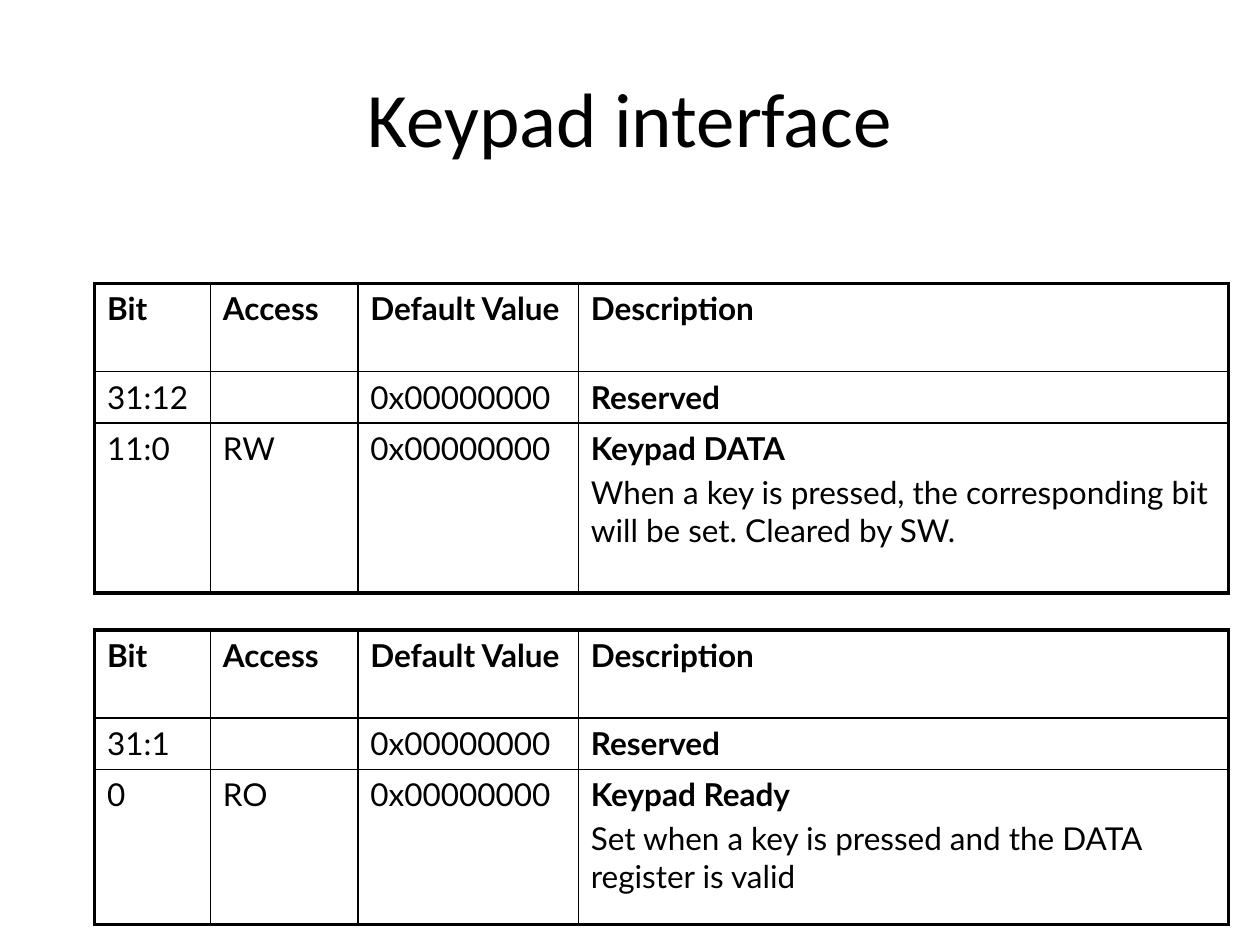
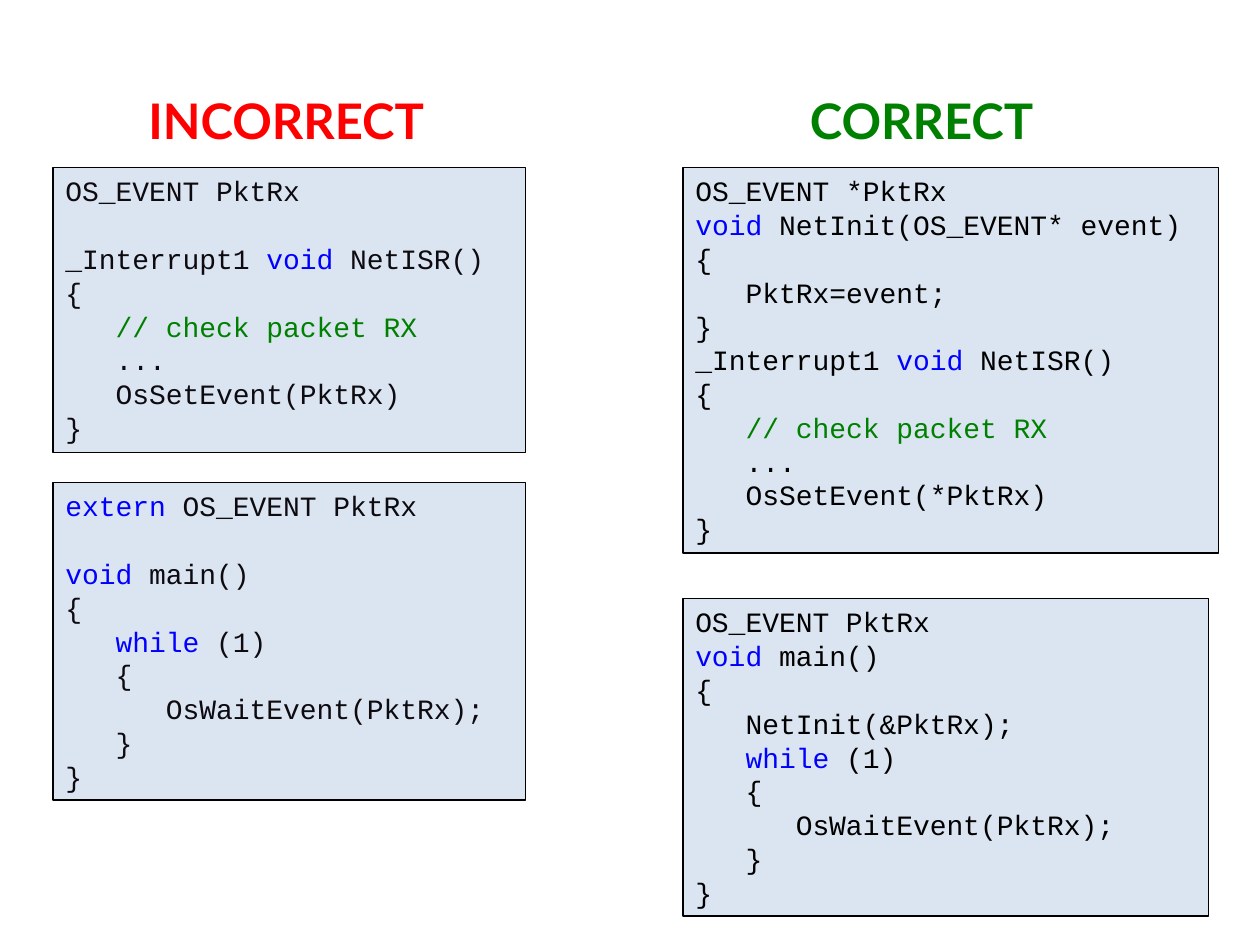
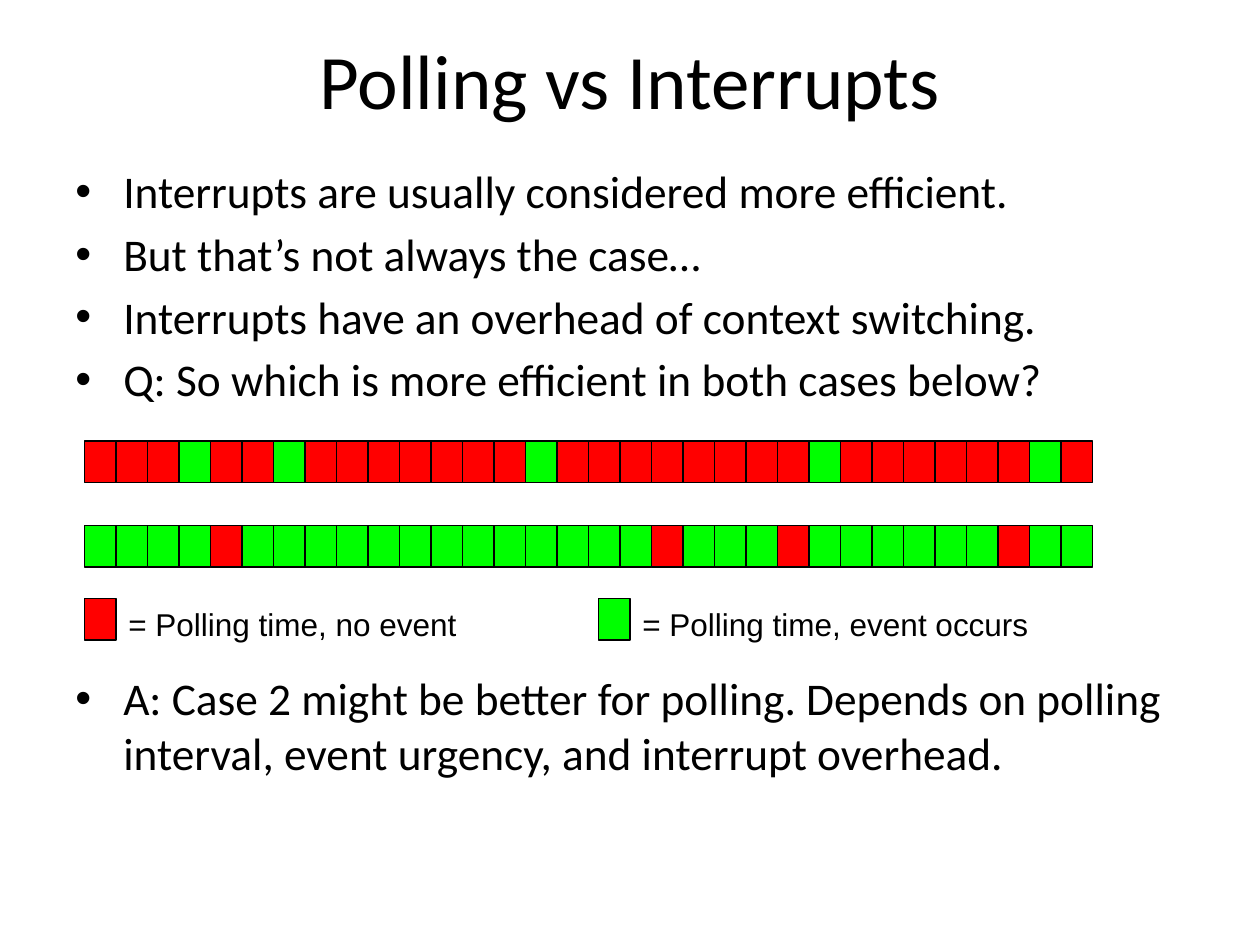
from dataclasses import dataclass

from lxml import etree
from pptx import Presentation
from pptx.dml.color import RGBColor
from pptx.enum import shapes, text
from pptx.oxml import ns
from pptx.util import Inches, Pt


@dataclass(frozen=True)
class Theme:
    black: str = "000000"
    ink: str = "0D0A10"
    panel: str = "DBE5F1"
    keyword: str = "0000FF"
    green: str = "008000"
    red: str = "FF0000"
    lime: str = "00FF00"
    title_font: str = "Calibri"
    table_font: str = "Lato"
    code_font: str = "Courier New"
    label_font: str = "Arial"
    title: float = 44
    heading: float = 28
    body: float = 25.9
    label: float = 18
    code: float = 16
    code_line: float = 19.3
    thin: float = 0.75


T = Theme()


def write(p, words, size=T.label, color=T.black, font=T.table_font, bold=False):
    """Add one formatted run to a paragraph."""
    r = p.add_run()
    r.text = words
    r.font.size = Pt(size)
    r.font.name = font
    r.font.bold = bold
    r.font.color.rgb = RGBColor.from_string(color)


def box(s, x, y, w, h, fill=None):
    """Add a filled, outlined rectangle, or a text box if there is no fill."""
    at = [Inches(v) for v in (x, y, w, h)]
    if fill:
        sp = s.shapes.add_shape(shapes.MSO_SHAPE.RECTANGLE, *at)
        sp.shadow.inherit = False
        sp.fill.solid()
        sp.fill.fore_color.rgb = RGBColor.from_string(fill)
        sp.line.color.rgb = RGBColor.from_string(T.black)
        sp.line.width = Pt(T.thin)
    else:
        sp = s.shapes.add_textbox(*at)
    tf = sp.text_frame
    tf.word_wrap = True
    tf.vertical_anchor = text.MSO_ANCHOR.TOP
    tf.paragraphs[0].alignment = text.PP_ALIGN.LEFT
    return tf


prs = Presentation()
prs.slide_width, prs.slide_height = Inches(10), Inches(7.5)
title_only, blank = prs.slide_layouts[5], prs.slide_layouts[6]

# Slides and their titles
slides = []
for title, top in (("Keypad interface", 0.3), (None, 0), ("Polling vs Interrupts", 0)):
    s = prs.slides.add_slide(title_only if title else blank)
    slides.append(s)
    if title:
        sp = s.shapes.title
        sp.left, sp.top, sp.width, sp.height = [Inches(v) for v in (0.5, top, 9, 1.25)]
        tf = sp.text_frame
        tf.auto_size = text.MSO_AUTO_SIZE.NONE
        tf.vertical_anchor = text.MSO_ANCHOR.MIDDLE
        tf.paragraphs[0].alignment = text.PP_ALIGN.CENTER
        write(tf.paragraphs[0], title, size=T.title, font=T.title_font)
keypad, events, polling = slides

# Slide 1: register tables
HEADER = ("Bit", "Access", "Default Value", "Description")
COLS = (0.92, 1.17, 1.75, 5.16)
DEFAULT = "0x00000000"
registers = (
    (2.25, 1.35, "31:12", ("11:0", "RW", DEFAULT, "Keypad DATA\nWhen a key is pressed, "
                           "the corresponding bit will be set. Cleared by SW.")),
    (5, 1.23, "31:1", ("0", "RO", DEFAULT, "Keypad Ready\nSet when a key is pressed "
                       "and the DATA register is valid")),
)
for top, last_height, reserved_bits, field in registers:
    rows = (HEADER, (reserved_bits, "", DEFAULT, "Reserved"), field)
    heights = (0.7, 0.4, last_height)
    table = keypad.shapes.add_table(len(rows), len(COLS), Inches(0.75), Inches(top),
                                    Inches(sum(COLS)), Inches(sum(heights))).table
    table.first_row = table.horz_banding = False
    for column, width in zip(table.columns, COLS):
        column.width = Inches(width)
    for i, (row, height) in enumerate(zip(rows, heights)):
        table.rows[i].height = Inches(height)
        for j, words in enumerate(row):
            cell = table.cell(i, j)
            # Thick lines on the outer edges, thin ones inside
            outer = {"lnL": j == 0, "lnR": j == len(COLS) - 1,
                     "lnT": i == 0, "lnB": i == len(rows) - 1}
            tcPr = cell._tc.get_or_add_tcPr()
            for tag, thick in outer.items():
                ln = etree.SubElement(tcPr, ns.qn("a:" + tag), w=str(Pt(2.25 if thick else 1)))
                fill = etree.SubElement(ln, ns.qn("a:solidFill"))
                etree.SubElement(fill, ns.qn("a:srgbClr"), val=T.black)
            cell.fill.background()
            for n, line in enumerate(words.split("\n")):
                tf = cell.text_frame
                p = tf.add_paragraph() if n else tf.paragraphs[0]
                if n:
                    p.space_before = Pt(3.6)
                if line:
                    write(p, line, bold=n == 0 and (i == 0 or j == 3))

# Slide 2: code panels
KEYWORDS = ("void", "extern", "while")
panels = (
    (0.42, 1.33, 3.75, 2.26, T.ink, """OS_EVENT PktRx

_Interrupt1 void NetISR()
{
   // check packet RX
   ...
   OsSetEvent(PktRx)
}"""),
    (0.42, 3.83, 3.75, 2.52, T.ink, """extern OS_EVENT PktRx

void main()
{
   while (1)
   {
      OsWaitEvent(PktRx);
   }
}"""),
    (5.42, 1.33, 4.25, 3.06, T.black, """OS_EVENT *PktRx
void NetInit(OS_EVENT* event)
{
   PktRx=event;
}
_Interrupt1 void NetISR()
{
   // check packet RX
   ...
   OsSetEvent(*PktRx)
}"""),
    (5.42, 4.75, 4.17, 2.52, T.black, """OS_EVENT PktRx
void main()
{
   NetInit(&PktRx);
   while (1)
   {
      OsWaitEvent(PktRx);
   }
}"""),
)
for x, y, w, h, ink, code in panels:
    tf = box(events, x, y, w, h, fill=T.panel)
    gap = 0
    for n, line in enumerate(code.split("\n")):
        if not line:
            gap = T.code_line
            continue
        p = tf.add_paragraph() if n else tf.paragraphs[0]
        p.alignment = text.PP_ALIGN.LEFT
        p.line_spacing = Pt(T.code_line)
        if gap:
            p.space_before = Pt(gap)
            gap = 0
        # Split the line around its keyword or comment
        mark = "//" if "//" in line else next((k for k in KEYWORDS if k in line), None)
        before, word, after = line.partition(mark) if mark else (line, "", "")
        if mark == "//":
            word, after = word + after, ""
        accent = T.green if mark == "//" else T.keyword
        for words, color in ((before, ink), (word, accent), (after, ink)):
            if words:
                write(p, words, size=T.code, color=color, font=T.code_font)

# Slide 2: headings
for x, w, words, color in ((1.08, 2.58, "INCORRECT", T.red), (6.33, 2.08, "CORRECT", T.green)):
    tf = box(events, x, 0.67, w, 0.57)
    tf.word_wrap = False
    write(tf.paragraphs[0], words, size=T.heading, color=color, bold=True)

# Slide 3: bullets, with room for the timelines before the answer
bullets = (
    ("Interrupts are usually considered more efficient.", 0),
    ("But that’s not always the case…", 4.7),
    ("Interrupts have an overhead of context switching.", 4.7),
    ("Q: So which is more efficient in both cases below?", 4.7),
    ("A: Case 2 might be better for polling. Depends on polling interval, "
     "event urgency, and interrupt overhead.", 151),
)
tf = box(polling, 0.5, 1.25, 9.08, 5.17)
for n, (words, gap) in enumerate(bullets):
    p = tf.add_paragraph() if n else tf.paragraphs[0]
    pPr = p._p.get_or_add_pPr()
    pPr.set("marL", str(Inches(0.38)))
    pPr.set("indent", str(Inches(-0.38)))
    etree.SubElement(pPr, ns.qn("a:buFont"), typeface=T.label_font)
    etree.SubElement(pPr, ns.qn("a:buChar"), char="•")
    if gap:
        p.space_before = Pt(gap)
    write(p, words, size=T.body, font=T.title_font)

# Slide 3: timelines of polling slots
SLOT_W, SLOT_H, SLOTS = 0.25, 0.33, 32
timelines = (
    (3.5, T.red, T.lime, (3, 6, 14, 23, 30)),
    (4.17, T.lime, T.red, (4, 18, 22, 29)),
)
for y, usual, other, exceptions in timelines:
    for i in range(SLOTS):
        box(polling, 0.67 + i * SLOT_W, y, SLOT_W, SLOT_H,
            fill=other if i in exceptions else usual)

# Slide 3: legend
for x, w, color, words in ((0.67, 2.92, T.red, "= Polling time, no event"),
                           (4.75, 3.33, T.lime, "= Polling time, event occurs")):
    box(polling, x, 4.75, SLOT_W, SLOT_H, fill=color)
    tf = box(polling, x + SLOT_W, 4.75, w, 0.4)
    write(tf.paragraphs[0], words, font=T.label_font)

prs.save("out.pptx")
